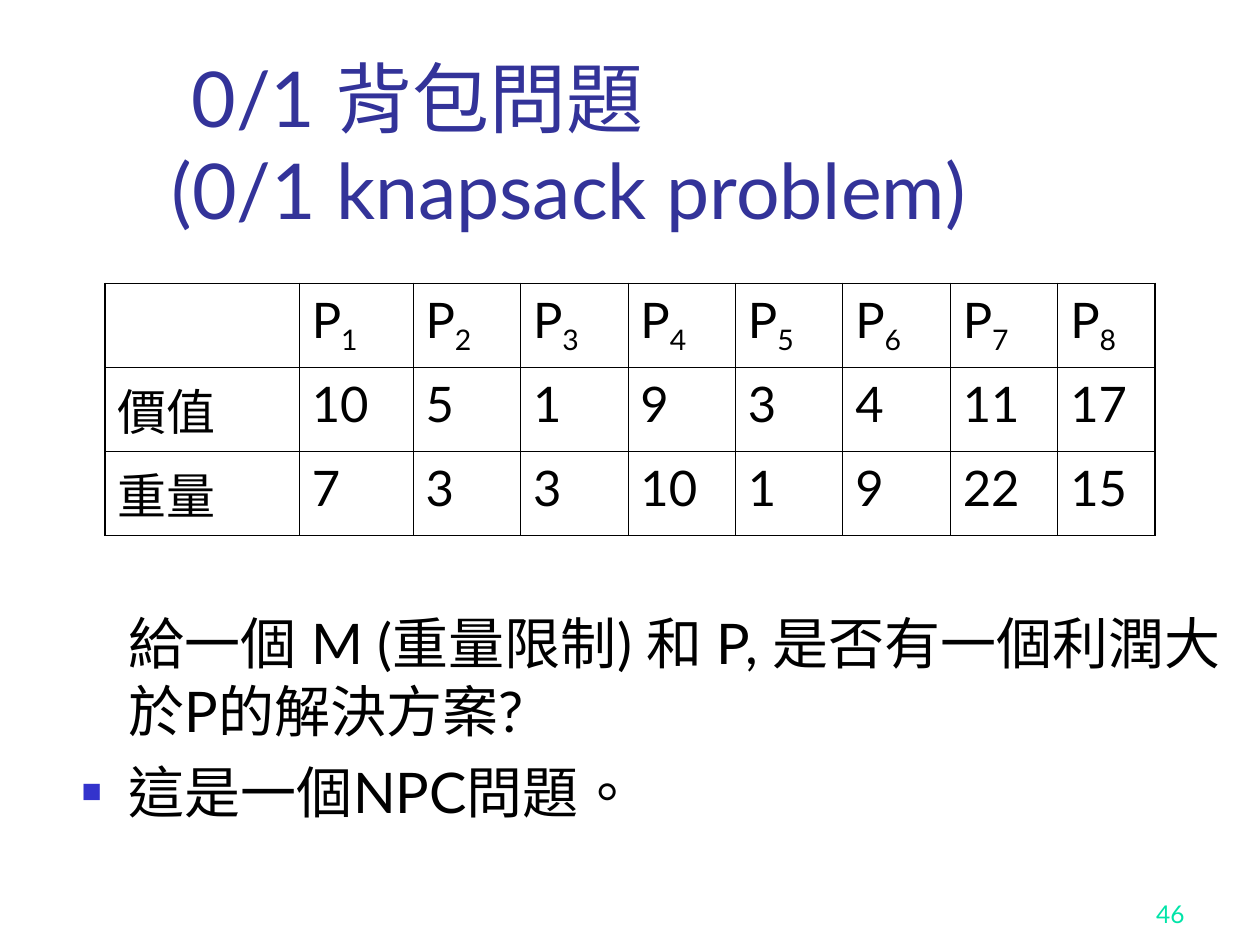
from lxml.etree import SubElement
from pptx import Presentation
from pptx.dml.color import RGBColor
from pptx.enum.lang import MSO_LANGUAGE_ID
from pptx.enum.text import MSO_ANCHOR, PP_ALIGN
from pptx.oxml.ns import qn
from pptx.util import Pt

COLORS = {
    "ink": "000000",
    "title": "333399",
    "bullet": "3333CC",
    "page": "00E4A8",
}
FONT = "Lato"
OUTER, INNER = 1.08, 0.45
COLUMNS = [111, 65] + [61.4] * 6 + [55.6]
ROW_HEIGHT = 48
VALUES = ["價值", 10, 5, 1, 9, 3, 4, 11, 17]
WEIGHTS = ["重量", 7, 3, 3, 10, 1, 9, 22, 15]


def add_text(paragraph, text, size, color="ink", east_asian=None, baseline=None):
    """Append one formatted run to a paragraph."""
    run = paragraph.add_run()
    run.text = text
    font = run.font
    font.name = FONT
    font.size = Pt(size)
    font.color.rgb = RGBColor.from_string(COLORS[color])
    font.language_id = MSO_LANGUAGE_ID.TRADITIONAL_CHINESE
    properties = run._r.get_or_add_rPr()
    if east_asian:
        SubElement(properties, qn("a:ea"), typeface=east_asian)
    if baseline:
        properties.set("baseline", str(baseline * 1000))


def add_frame(slide, box, anchor=MSO_ANCHOR.TOP):
    """Add a wrapping text box and return its text frame."""
    frame = slide.shapes.add_textbox(*map(Pt, box)).text_frame
    frame.word_wrap = True
    frame.vertical_anchor = anchor
    return frame


def add_title(slide, box):
    """Place the two-line heading on the bottom of its box."""
    heading = add_frame(slide, box, MSO_ANCHOR.BOTTOM).paragraphs[0]
    add_text(heading, " 0/1 背包問題", 44, "title", FONT)
    heading.add_line_break()
    add_text(heading, "(0/1 knapsack problem)", 44, "title", FONT)


def add_page_number(slide, box):
    """Place the page number at the lower right of its box."""
    number = add_frame(slide, box, MSO_ANCHOR.BOTTOM).paragraphs[0]
    number.alignment = PP_ALIGN.RIGHT
    add_text(number, "46", 14, "page")


def set_bullet(paragraph):
    """Give a paragraph a small square bullet."""
    properties = paragraph._p.get_or_add_pPr()
    properties.set("indent", str(-Pt(27)))
    bullet_color = SubElement(properties, qn("a:buClr"))
    SubElement(bullet_color, qn("a:srgbClr"), val=COLORS["bullet"])
    SubElement(properties, qn("a:buSzPct"), val="60000")
    SubElement(properties, qn("a:buFont"), typeface="Arial")
    SubElement(properties, qn("a:buChar"), char="■")


def add_body(slide, box, lead):
    """Place the question and the remark below a lead kept for the table."""
    frame = add_frame(slide, box)
    frame.margin_top = Pt(lead)
    question, remark = frame.paragraphs[0], frame.add_paragraph()
    for paragraph in (question, remark):
        paragraph._p.get_or_add_pPr().set("marL", str(Pt(27)))
    add_text(question, "給一個 M (重量限制) 和 P, 是否有一個利潤大於P的解決方案?", 32, east_asian=FONT)
    remark.space_before = Pt(8)
    set_bullet(remark)
    add_text(remark, "這是一個NPC問題。", 32, east_asian=FONT)


def set_borders(cell, widths):
    """Draw the left, right, top and bottom borders of a cell."""
    properties = cell._tc.get_or_add_tcPr()
    for side, width in zip("LRTB", widths):
        line = SubElement(properties, qn(f"a:ln{side}"), w=str(Pt(width)))
        fill = SubElement(line, qn("a:solidFill"))
        SubElement(fill, qn("a:srgbClr"), val=COLORS["ink"])


def add_items_table(slide, left, top):
    """Place the table of item values and weights."""
    rows = [[""] + [f"P{item}" for item in range(1, 9)], VALUES, WEIGHTS]
    last_row, last_column = len(rows) - 1, len(COLUMNS) - 1
    size = sum(COLUMNS), ROW_HEIGHT * len(rows)
    table = slide.shapes.add_table(
        len(rows), len(COLUMNS), Pt(left), Pt(top), *map(Pt, size)).table
    table.first_row = table.horz_banding = False
    for column, width in zip(table.columns, COLUMNS):
        column.width = Pt(width)
    for r, row in enumerate(rows):
        table.rows[r].height = Pt(ROW_HEIGHT)
        for c, entry in enumerate(row):
            cell = table.cell(r, c)
            edges = (c == 0, c == last_column, r == 0, r == last_row)
            set_borders(cell, [OUTER if edge else INNER for edge in edges])
            cell.fill.background()
            paragraph = cell.text_frame.paragraphs[0]
            if r == 0 and entry:
                add_text(paragraph, entry[0], 28)
                add_text(paragraph, entry[1], 28, baseline=-25)
            elif entry:
                add_text(paragraph, str(entry), 28)


def main():
    """Build the slide and save it."""
    deck = Presentation()
    deck.slide_width, deck.slide_height = Pt(720), Pt(540)
    slide = deck.slides.add_slide(deck.slide_layouts[6])
    add_page_number(slide, (534, 498, 150, 36))
    add_title(slide, (91, 48, 613, 90))
    add_body(slide, (39.5, 159, 666, 324), lead=189)
    add_items_table(slide, 60, 162)
    deck.save("out.pptx")


if __name__ == "__main__":
    main()
